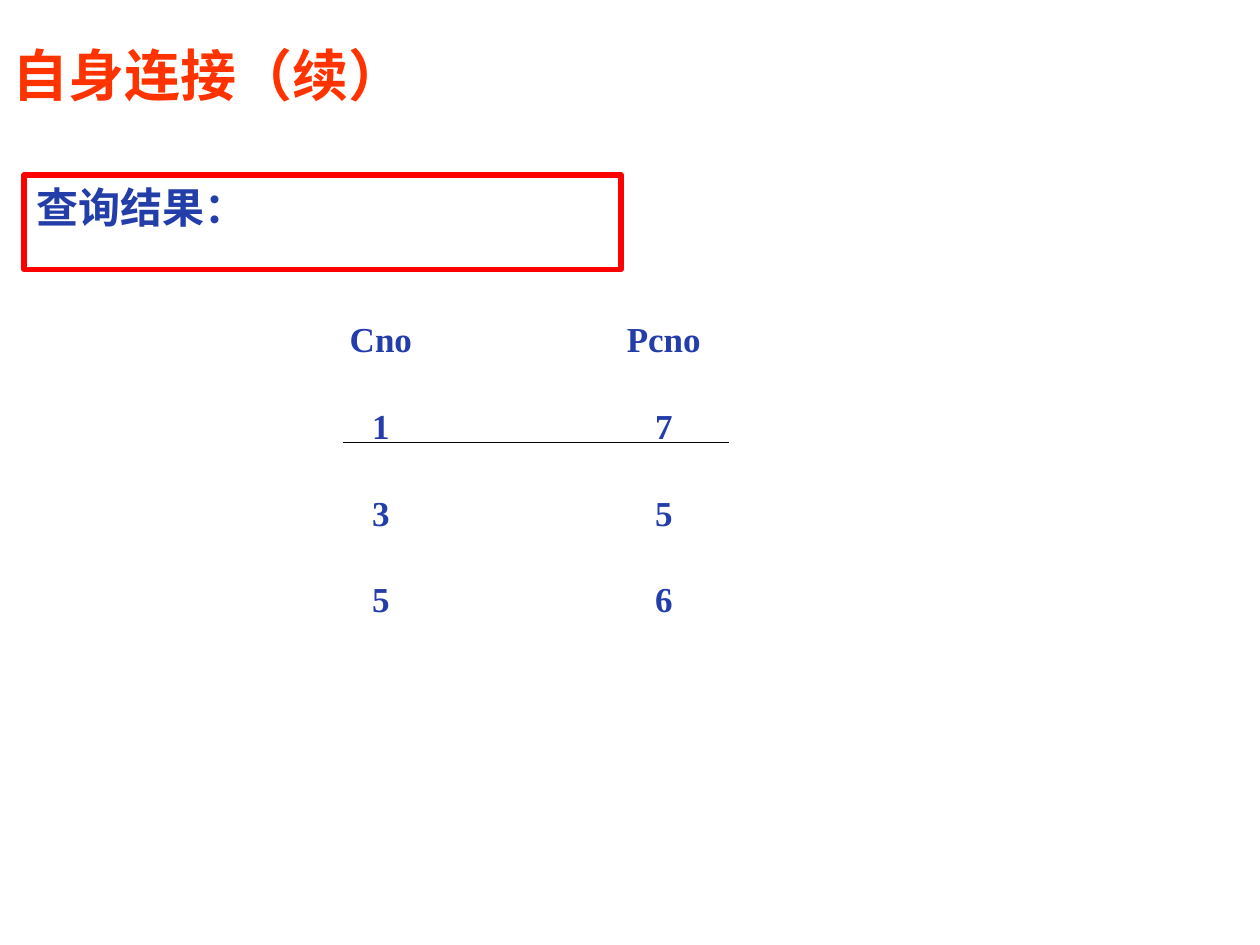
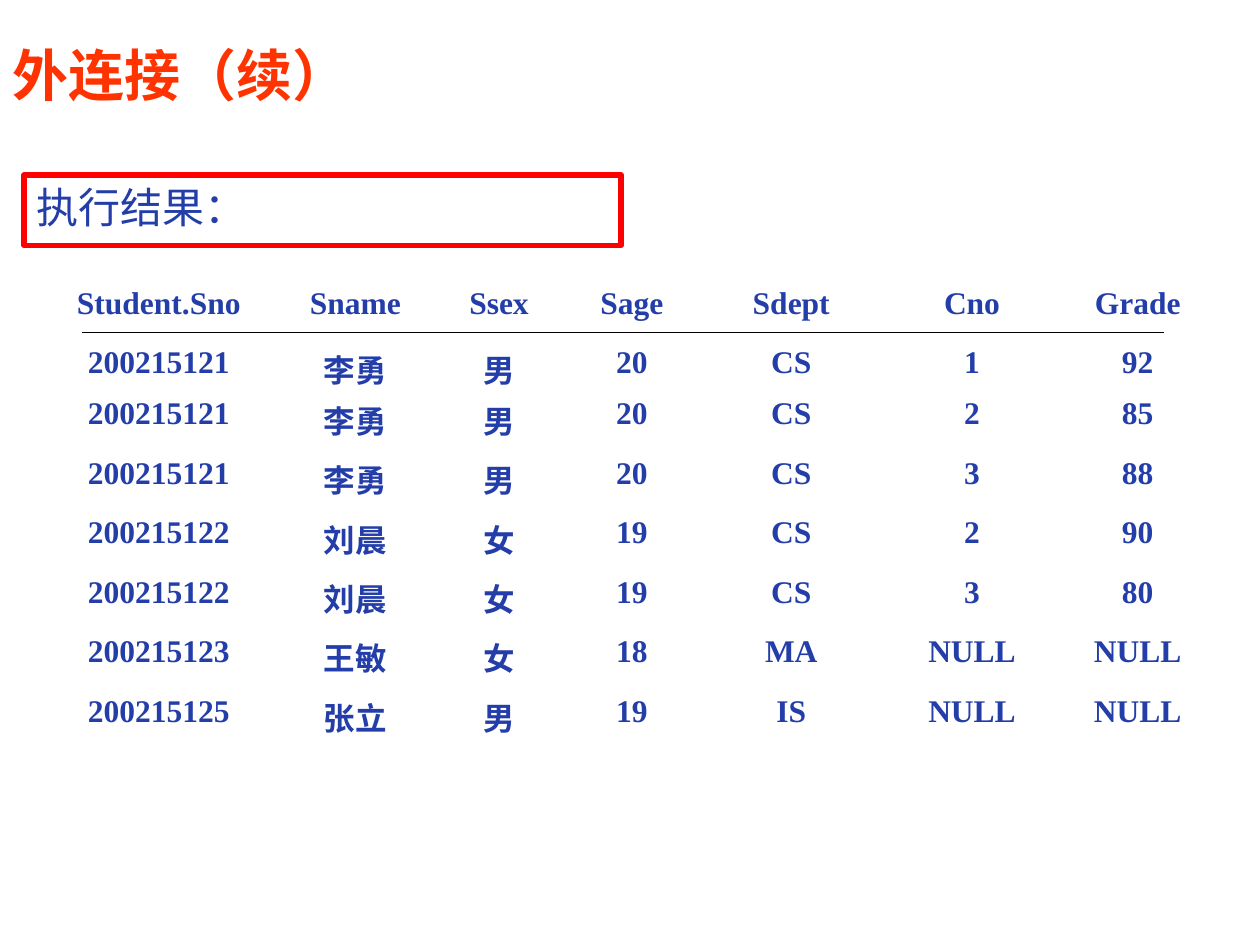
from dataclasses import dataclass

from pptx import Presentation
from pptx.dml.color import RGBColor
from pptx.enum.shapes import MSO_CONNECTOR as Connector, MSO_SHAPE as Shape
from pptx.enum.text import MSO_ANCHOR as Anchor, PP_ALIGN as Align
from pptx.oxml.ns import qn
from pptx.util import Pt
from lxml.etree import SubElement


@dataclass(frozen=True)
class Theme:
    title_color: RGBColor = RGBColor(0xFF, 0x33, 0x00)
    text_color: RGBColor = RGBColor(0x23, 0x3D, 0xA9)
    frame_color: RGBColor = RGBColor(0xFF, 0x00, 0x00)
    rule_color: RGBColor = RGBColor(0x00, 0x00, 0x00)
    chinese_font: str = "Noto Sans CJK SC"
    caption_font: str = "Arial"
    table_font: str = "Times New Roman"
    title_size: int = 32
    caption_size: int = 24
    frame_width: float = 3
    rule_width: float = 0.75


@dataclass(frozen=True)
class Box:
    left: float
    top: float
    width: float
    height: float

    def lengths(self):
        return Pt(self.left), Pt(self.top), Pt(self.width), Pt(self.height)


THEME = Theme()
TITLE_BOX = Box(0, 20.2, 582, 44.6)


def write(text_frame, text, font_name, size, color, bold=True, align=Align.LEFT):
    text_frame.text = text
    paragraph = text_frame.paragraphs[0]
    paragraph.alignment = align
    run = paragraph.runs[0]
    run.font.name = font_name
    run.font.size = Pt(size)
    run.font.bold = bold
    run.font.color.rgb = color
    east_asian = SubElement(run.font._element, qn("a:ea"))
    east_asian.set("typeface", THEME.chinese_font)


def add_title(slide, box, text):
    text_frame = slide.shapes.add_textbox(*box.lengths()).text_frame
    text_frame.word_wrap = True
    text_frame.vertical_anchor = Anchor.MIDDLE
    write(text_frame, text, THEME.chinese_font, THEME.title_size, THEME.title_color)


def add_caption(slide, box, text, bold, align):
    frame = slide.shapes.add_shape(Shape.RECTANGLE, *box.lengths())
    frame.shadow.inherit = False
    frame.fill.background()
    frame.line.color.rgb = THEME.frame_color
    frame.line.width = Pt(THEME.frame_width)
    frame.text_frame.word_wrap = True
    frame.text_frame.vertical_anchor = Anchor.TOP
    write(frame.text_frame, text, THEME.caption_font, THEME.caption_size,
          THEME.text_color, bold, align)


def add_result_table(slide, box, rows, column_widths, row_heights, size):
    table = slide.shapes.add_table(len(rows), len(column_widths), *box.lengths()).table
    table.first_row = False
    table.horz_banding = False
    for column, width in zip(table.columns, column_widths):
        column.width = Pt(width)
    for row, height, values in zip(table.rows, row_heights, rows):
        row.height = Pt(height)
        for cell, value in zip(row.cells, values):
            cell.fill.background()
            write(cell.text_frame, value, THEME.table_font, size,
                  THEME.text_color, align=Align.CENTER)


def add_rule(slide, box, start, end, offset):
    y = Pt(box.top + offset)
    rule = slide.shapes.add_connector(
        Connector.STRAIGHT, Pt(box.left + start), y, Pt(box.left + end), y)
    rule.line.color.rgb = THEME.rule_color
    rule.line.width = Pt(THEME.rule_width)
    SubElement(rule._element.spPr, qn("a:effectLst"))


def add_slide(presentation, title):
    slide = presentation.slides.add_slide(presentation.slide_layouts[6])
    add_title(slide, TITLE_BOX, title)
    return slide


def build_self_join(presentation):
    slide = add_slide(presentation, "自身连接（续）")
    add_caption(slide, Box(13.7, 100, 341.3, 54), "查询结果：", True, Align.LEFT)
    rows = [("Cno", "Pcno"), ("1", "7"), ("3", "5"), ("5", "6")]
    box = Box(136.8, 180, 323.4, 198.4)
    column_widths = [box.width / 2] * 2
    row_heights = [box.height / len(rows)] * len(rows)
    add_result_table(slide, box, rows, column_widths, row_heights, 20)
    add_rule(slide, box, 59, 280, 72.7)


def build_outer_join(presentation):
    slide = add_slide(presentation, "外连接（续）")
    add_caption(slide, Box(13.7, 100, 341.3, 40.3), "执行结果：", False, Align.JUSTIFY)
    rows = [
        ("Student.Sno", "Sname", "Ssex", "Sage", "Sdept", "Cno", "Grade"),
        ("200215121", "李勇", "男", "20", "CS", "1", "92"),
        ("200215121", "李勇", "男", "20", "CS", "2", "85"),
        ("200215121", "李勇", "男", "20", "CS", "3", "88"),
        ("200215122", "刘晨", "女", "19", "CS", "2", "90"),
        ("200215122", "刘晨", "女", "19", "CS", "3", "80"),
        ("200215123", "王敏", "女", "18", "MA", "NULL", "NULL"),
        ("200215125", "张立", "男", "19", "IS", "NULL", "NULL"),
    ]
    box = Box(20.9, 160, 676.8, 267.1)
    column_widths = [139.7, 85, 79.2, 72.7, 109.4, 97.2, 92.2]
    row_heights = [34, 29] + [34] * 6
    add_result_table(slide, box, rows, column_widths, row_heights, 18)
    add_rule(slide, box, 26, 644.4, 30)


def main():
    presentation = Presentation()
    presentation.slide_width = Pt(720)
    presentation.slide_height = Pt(540)
    build_self_join(presentation)
    build_outer_join(presentation)
    presentation.save("out.pptx")


if __name__ == "__main__":
    main()
